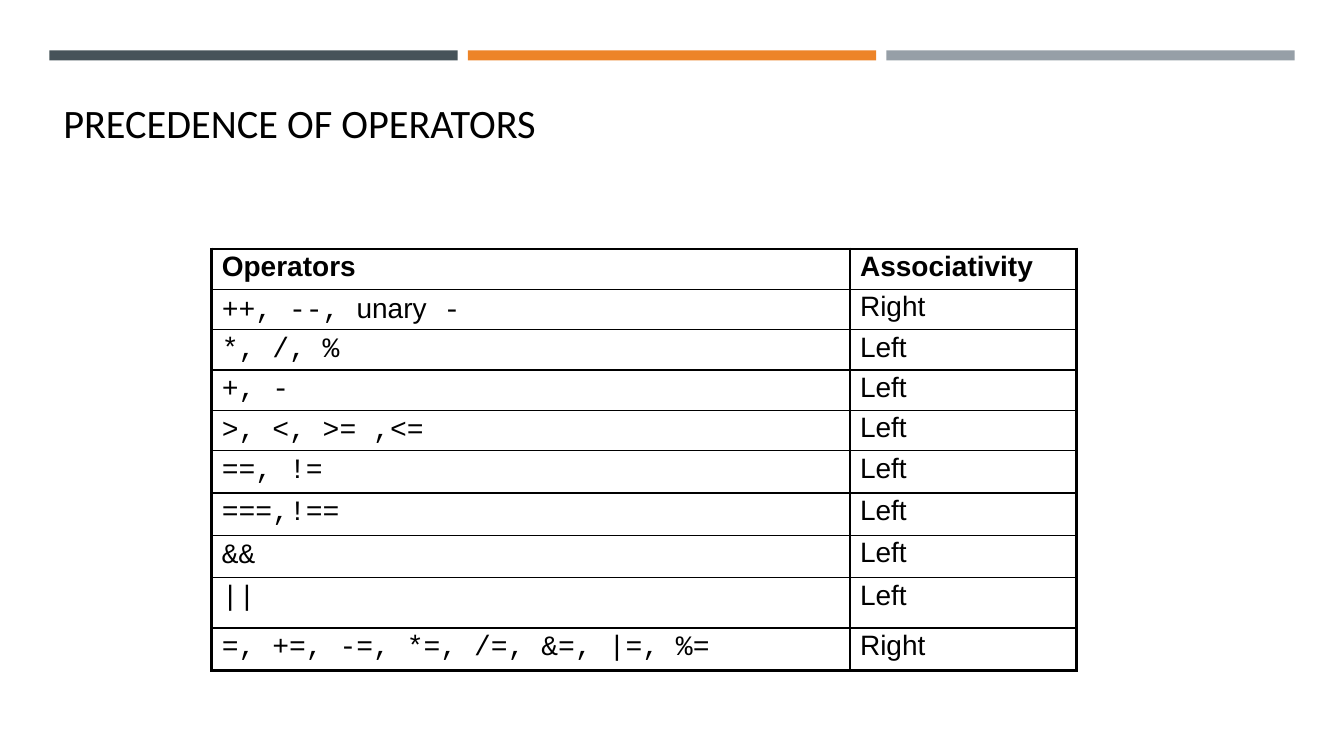
from dataclasses import dataclass
from lxml import etree
from pptx import Presentation
from pptx import util as u
from pptx.dml.color import RGBColor
from pptx.enum import shapes, text
from pptx.oxml.ns import qn


@dataclass(frozen=True)
class Theme:
    ink: str = "000000"
    bars: tuple = ("465359", "ED8428", "969FA7")
    head: str = "Calibri"
    body: str = "Arial"
    code: str = "Courier New"
    large: float = 28.8
    small: float = 20
    thin: float = 1
    thick: float = 2.25


theme = Theme()
ROWS = [
    (38, ["Operators"], "Associativity"),
    (40, ["++, --, ", "unary", " -"], "Right"),
    (38, ["*, /, %"], "Left"),
    (39, ["+, -"], "Left"),
    (40, [">, <, >= ,<="], "Left"),
    (42, ["==, !="], "Left"),
    (42, ["===,!=="], "Left"),
    (42, ["&&"], "Left"),
    (50, ["||"], "Left"),
    (42, ["=, +=, -=, *=, /=, &=, |=, %="], "Right"),
]


def px(n):
    return u.Emu(n * 9144)


def style(run, face, size, bold=False):
    font = run.font
    font.name, font.size, font.bold = face, u.Pt(size), bold
    font.color.rgb = RGBColor.from_string(theme.ink)


def edge(cell, side, width):
    props = cell._tc.get_or_add_tcPr()
    line = etree.SubElement(props, qn("a:ln" + side), w=str(u.Pt(width)))
    fill = etree.SubElement(line, qn("a:solidFill"))
    etree.SubElement(fill, qn("a:srgbClr"), val=theme.ink)


def fill_cell(cell, parts, bold, outer):
    para = cell.text_frame.paragraphs[0]
    para.line_spacing = 0.9
    for part in parts:
        run = para.add_run()
        run.text = part
        face = theme.body if part.isalpha() else theme.code
        style(run, face, theme.small, bold)
    for side in "LRTB":
        edge(cell, side, theme.thick if side in outer else theme.thin)
    cell.fill.background()


def add_bars(slide, x, y, w, h, gap=10):
    count = len(theme.bars)
    wide = (w - gap * (count - 1)) // count
    for i, color in enumerate(theme.bars):
        bar = slide.shapes.add_shape(
            shapes.MSO_SHAPE.RECTANGLE,
            px(x + i * (wide + gap)), px(y), px(wide), px(h))
        bar.shadow.inherit = False
        bar.fill.solid()
        bar.fill.fore_color.rgb = RGBColor.from_string(color)
        bar.line.fill.background()


def add_title(slide, x, y, w, h, words):
    box = slide.shapes.add_textbox(px(x), px(y), px(w), px(h))
    frame = box.text_frame
    frame.word_wrap = True
    frame.vertical_anchor = text.MSO_ANCHOR.BOTTOM
    frame.text = words
    style(frame.paragraphs[0].runs[0], theme.head, theme.large)


def add_grid(slide, x, y, w, side=225):
    high = sum(row[0] for row in ROWS)
    grid = slide.shapes.add_table(
        len(ROWS), 2, px(x), px(y), px(w), px(high)).table
    grid.first_row = grid.horz_banding = False
    grid.columns[0].width = px(w - side)
    grid.columns[1].width = px(side)
    last = len(ROWS) - 1
    for i, (tall, signs, order) in enumerate(ROWS):
        grid.rows[i].height = px(tall)
        ends = "T" * (i == 0) + "B" * (i == last)
        fill_cell(grid.cell(i, 0), signs, i == 0, "L" + ends)
        fill_cell(grid.cell(i, 1), [order], i == 0, "R" + ends)


def main():
    deck = Presentation()
    deck.slide_width, deck.slide_height = px(1333), px(750)
    slide = deck.slides.add_slide(deck.slide_layouts[6])
    add_bars(slide, 49, 50, 1235, 10)
    add_title(slide, 53, 91, 1256, 59, "PRECEDENCE OF OPERATORS")
    add_grid(slide, 210, 247, 858)
    deck.save("out.pptx")


if __name__ == "__main__":
    main()
